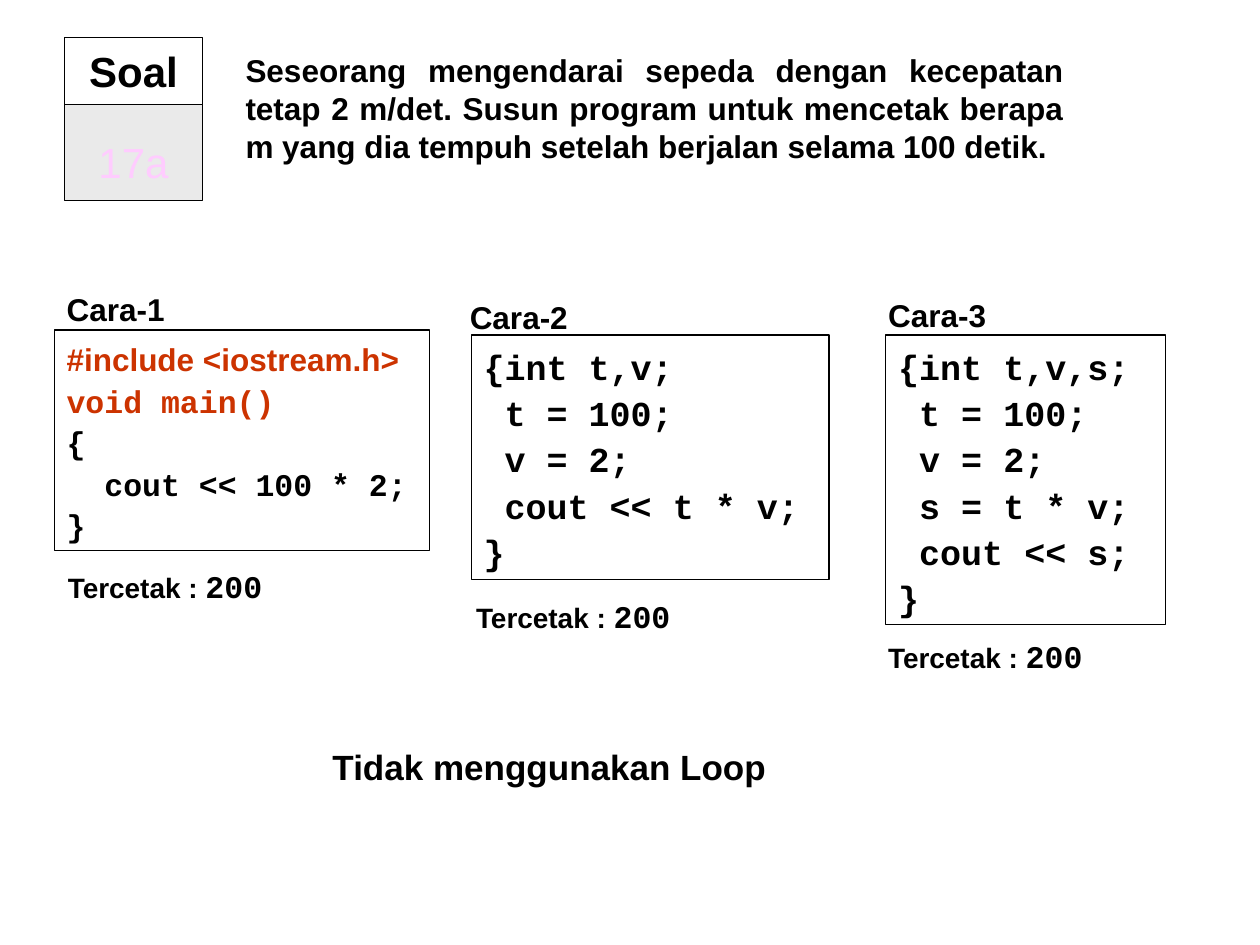
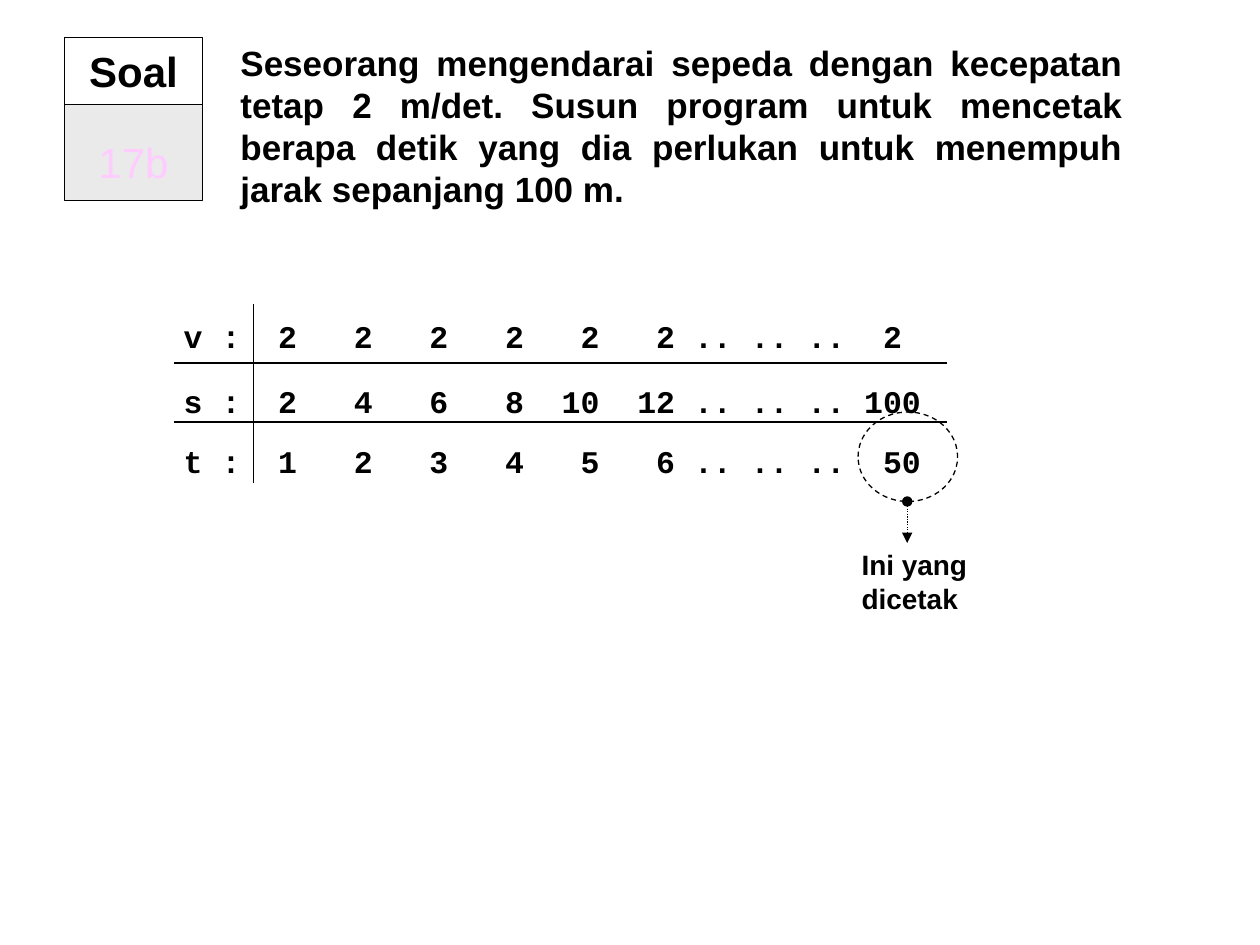
from pptx import Presentation
from pptx.dml.color import RGBColor as RGB
from pptx.enum.dml import MSO_LINE as Dash
from pptx.enum.shapes import MSO_CONNECTOR as Link, MSO_SHAPE as Kind
from pptx.enum.text import MSO_ANCHOR as Anchor, MSO_AUTO_SIZE as Auto, PP_ALIGN as Align
from pptx.oxml.ns import qn
from pptx.util import Inches, Pt
from lxml import etree

HUE = {"ink": "000000", "code": "CC3300", "grey": "EAEAEA", "pink": "FFCCFF"}
SANS, MONO = "Arial", "Courier New"


def put(shapes, at, lines, size, font=SANS, kind=None, wrap=False):
    """Add bold text, framed when a shape kind is given."""
    pos = [Inches(n) for n in at]
    if kind:
        box = shapes.add_shape(kind, *pos)
        box.shadow.inherit = False
        box.fill.background()
        box.line.color.rgb = RGB.from_string(HUE["ink"])
        box.line.width = Pt(0.75)
    else:
        box = shapes.add_textbox(*pos)
    frame = box.text_frame
    frame.text = "\n".join(lines)
    frame.word_wrap = wrap
    frame.vertical_anchor = Anchor.TOP
    for para in frame.paragraphs:
        para.alignment = Align.LEFT
        for run in para.runs:
            run.font.size = Pt(size)
            run.font.name = font
            run.font.bold = True
            run.font.color.rgb = RGB.from_string(HUE["ink"])
    return box


def rule(shapes, x1, y1, x2, y2):
    line = shapes.add_connector(Link.STRAIGHT, *[Inches(n) for n in (x1, y1, x2, y2)])
    line.line.color.rgb = RGB.from_string(HUE["ink"])
    line.line.width = Pt(0.75)
    etree.SubElement(line._element.spPr, qn("a:effectLst"))
    return line


deck = Presentation()
deck.slide_width, deck.slide_height = Inches(10), Inches(7.5)

# Shared head of each slide: number badge and task
tasks = [
    ("17a", (1.85, 0.36, 6.69, 1.3), 18,
     "Seseorang mengendarai sepeda dengan kecepatan tetap 2 m/det. Susun program "
     "untuk mencetak berapa m yang dia tempuh setelah berjalan selama 100 detik."),
    ("17b", (1.81, 0.28, 7.2, 1.44), 20,
     "Seseorang mengendarai sepeda dengan kecepatan tetap 2 m/det. Susun program "
     "untuk mencetak berapa detik yang dia perlukan untuk menempuh jarak sepanjang 100 m."),
]
pages = []
for num, at, size, task in tasks:
    shapes = deck.slides.add_slide(deck.slide_layouts[6]).shapes
    pages.append(shapes)
    badge = shapes.add_group_shape().shapes
    head = put(badge, (0.51, 0.3, 1.1, 0.53), ["Soal"], 24, kind=Kind.RECTANGLE)
    foot = put(badge, (0.51, 0.83, 1.1, 0.76), [num], 24, kind=Kind.RECTANGLE)
    for cell in (head, foot):
        cell.text_frame.vertical_anchor = Anchor.MIDDLE
        cell.text_frame.paragraphs[0].alignment = Align.CENTER
    foot.fill.solid()
    foot.fill.fore_color.rgb = RGB.from_string(HUE["grey"])
    foot.text_frame.margin_top = Inches(0.2)
    font = foot.text_frame.paragraphs[0].runs[0].font
    font.bold = False
    font.color.rgb = RGB.from_string(HUE["pink"])
    text = put(shapes, at, [task], size, wrap=True)
    text.text_frame.paragraphs[0].alignment = Align.JUSTIFY

# Slide 1: three ways without a loop
ways = [
    ((0.43, 2.25), (0.43, 2.62, 2.98, 1.75), (0.44, 4.45), 18,
     ["#include <iostream.h>", "void main()", "{", "  cout << 100 * 2;", "}"]),
    ((3.63, 2.32), (3.74, 2.66, 2.84, 1.94), (3.68, 4.69), 20,
     ["{int t,v;", " t = 100;", " v = 2;", " cout << t * v;", "}"]),
    ((6.95, 2.3), (7.03, 2.66, 2.22, 2.3), (6.95, 5.01), 20,
     ["{int t,v,s;", " t = 100;", " v = 2;", " s = t * v;", " cout << s;", "}"]),
]
shapes = pages[0]
for i, (name, at, out, size, code) in enumerate(ways, 1):
    put(shapes, (*name, 0.98, 0.4), [f"Cara-{i}"], 18)
    box = put(shapes, at, code, size, MONO, Kind.RECTANGLE, True)
    box.text_frame.auto_size = Auto.SHAPE_TO_FIT_TEXT
    for para in box.text_frame.paragraphs:
        para.line_spacing = 1.1
    if i == 1:
        for para in box.text_frame.paragraphs[:2]:
            para.runs[0].font.color.rgb = RGB.from_string(HUE["code"])
        box.text_frame.paragraphs[0].runs[0].font.name = SANS
    para = put(shapes, (*out, 1.76, 0.4), ["Tercetak : "], 16).text_frame.paragraphs[0]
    run = para.add_run()
    run.text = "200"
    run.font.size, run.font.name, run.font.bold = Pt(18), MONO, True
    run.font.color.rgb = RGB.from_string(HUE["ink"])
put(shapes, (2.54, 5.87, 3.65, 0.44), ["Tidak menggunakan Loop"], 20)

# Slide 2: values at each step, set on right-aligned tab stops
shapes = pages[1]
dots = ".. .. .."
rows = [
    ["v :", *[2] * 6, dots, 2],
    ["s :", *range(2, 13, 2), dots, 100],
    ["t :", *range(1, 7), dots, 50],
]
lines = ["\t".join(map(str, row)) for row in rows]
grid = put(shapes, (1.36, 2.29, 6.15, 2.08), lines, 18, MONO, wrap=True)
for para, gap, last in zip(grid.text_frame.paragraphs, (1.6, 1.7, 1.6), (5.7, 5.85, 5.85)):
    para.line_spacing = gap
    tabs = etree.SubElement(para._p.get_or_add_pPr(), qn("a:tabLst"))
    for stop in [0.9 + 0.6 * i for i in range(6)] + [5.25, last]:
        etree.SubElement(tabs, qn("a:tab"), pos=str(Inches(stop)), algn="r")

arrow = rule(shapes, 7.2, 3.98, 7.2, 4.31)
arrow.line.dash_style = Dash.ROUND_DOT
ends = arrow.line._get_or_add_ln()
etree.SubElement(ends, qn("a:headEnd"), type="oval")
etree.SubElement(ends, qn("a:tailEnd"), type="triangle")
put(shapes, (6.74, 4.3, 1.04, 0.64), ["Ini yang", "dicetak"], 16)
ring = put(shapes, (6.81, 3.27, 0.79, 0.71), [], 18, kind=Kind.OVAL)
ring.line.dash_style = Dash.DASH
for y in (2.88, 3.35):
    rule(shapes, 1.38, y, 7.52, y)
rule(shapes, 2.01, 2.41, 2.01, 3.83)

deck.save("out.pptx")
